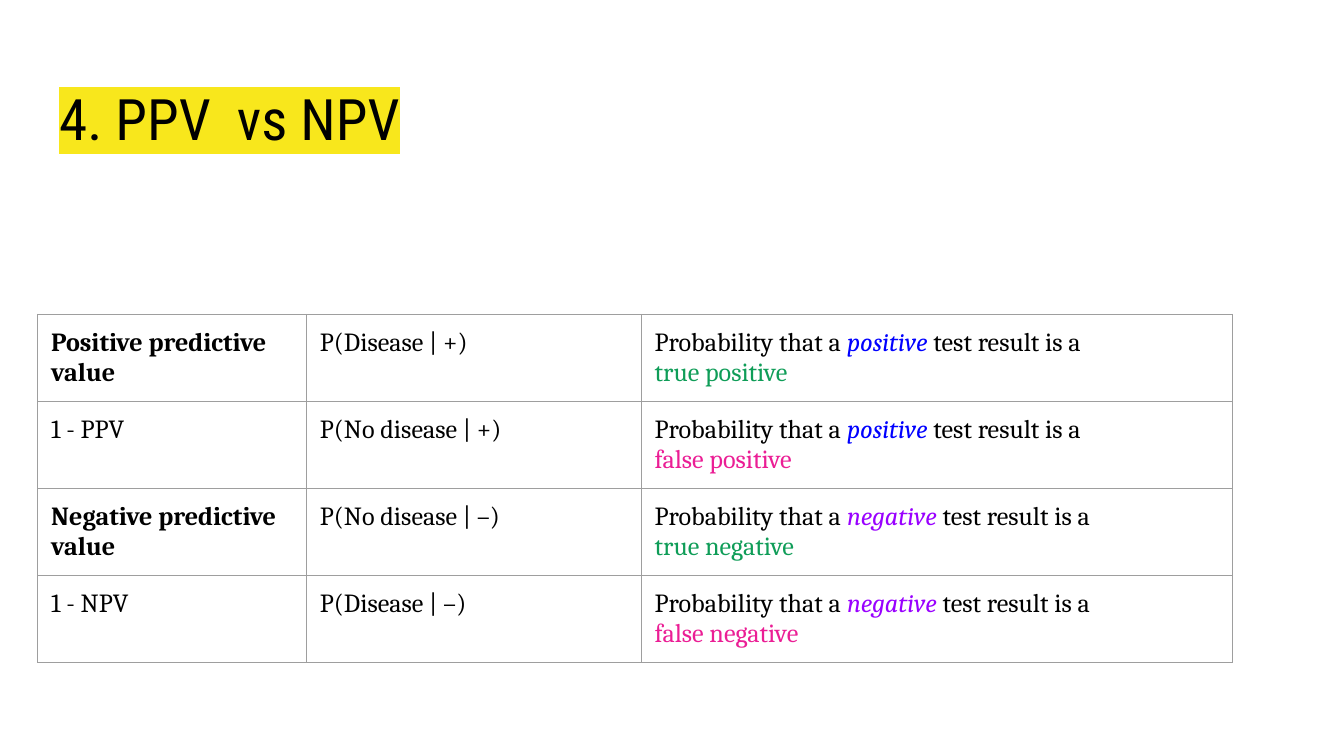
from lxml import etree
from pptx import Presentation
from pptx.dml.color import RGBColor
from pptx.enum.text import MSO_ANCHOR, PP_ALIGN
from pptx.oxml.ns import qn
from pptx.util import Pt

TOP = MSO_ANCHOR.TOP
LEFT = PP_ALIGN.LEFT
TITLE_ONLY = 5

BLACK, YELLOW, GREY = "000000", "F8E71C", "9E9E9E"
GREEN, PINK = "0F9D58", "EB1E95"
RESULT_COLORS = {"positive": "0000FF", "negative": "9900FF"}

INSET = 7.2
COLUMN_WIDTHS = [144, 179.3, 316.8]
ROW_HEIGHT = 46.6
# term, is a main measure, formula, test result, verdict, verdict color
MEASURES = [
    ("Positive predictive value", True, "P(Disease | +)", "positive", "true", GREEN),
    ("1 - PPV", False, "P(No disease | +)", "positive", "false", PINK),
    ("Negative predictive value", True, "P(No disease | –)", "negative", "true", GREEN),
    ("1 - NPV", False, "P(Disease | –)", "negative", "false", PINK),
]


def rgb(color):
    return RGBColor.from_string(color)


def add_run(paragraph, text, color=BLACK, **formats):
    run = paragraph.add_run()
    run.text = text
    run.font.color.rgb = rgb(color)
    values = {"name": "Cambria", "size": Pt(14), "bold": False, "italic": False}
    for attribute, value in (values | formats).items():
        setattr(run.font, attribute, value)
    return run


def highlight(run, color):
    marker = etree.Element(qn("a:highlight"))
    etree.SubElement(marker, qn("a:srgbClr"), val=color)
    run.font._element.find(qn("a:solidFill")).addnext(marker)


def add_title(slide):
    title = slide.shapes.title
    title.left, title.top, title.width, title.height = Pt(24.5), Pt(35.3), Pt(671), Pt(45.4)
    frame_formats = {
        "margin_left": Pt(INSET), "margin_right": Pt(INSET),
        "margin_top": Pt(9.2), "margin_bottom": Pt(INSET),
        "vertical_anchor": TOP, "word_wrap": True,
    }
    for attribute, value in frame_formats.items():
        setattr(title.text_frame, attribute, value)
    heading = title.text_frame.paragraphs[0]
    heading.alignment = LEFT
    heading.line_spacing = 1.0
    run = add_run(heading, "4. PPV  vs NPV", name="Roboto Condensed", size=Pt(30.6))
    highlight(run, YELLOW)


def format_cell(cell):
    """Clear the fill, set the insets and draw a thin border on each side."""
    cell.fill.background()
    cell.vertical_anchor = TOP
    for side in ("left", "right", "top", "bottom"):
        setattr(cell, f"margin_{side}", Pt(INSET))
    properties = cell._tc.get_or_add_tcPr()
    for position, tag in enumerate(("a:lnL", "a:lnR", "a:lnT", "a:lnB")):
        border = etree.Element(qn(tag), w=str(Pt(0.75)))
        fill = etree.SubElement(border, qn("a:solidFill"))
        etree.SubElement(fill, qn("a:srgbClr"), val=GREY)
        properties.insert(position, border)


def write_meaning(frame, result, verdict, verdict_color):
    sentence = frame.paragraphs[0]
    add_run(sentence, "Probability that a ")
    add_run(sentence, result, RESULT_COLORS[result], italic=True)
    add_run(sentence, " test result is a")
    add_run(frame.add_paragraph(), f"{verdict} {result}", verdict_color)


def add_measures_table(slide):
    table = slide.shapes.add_table(
        len(MEASURES), len(COLUMN_WIDTHS), Pt(20.2), Pt(168.5),
        Pt(sum(COLUMN_WIDTHS)), Pt(ROW_HEIGHT * len(MEASURES))).table
    table.first_row = table.horz_banding = False
    for column, width in zip(table.columns, COLUMN_WIDTHS):
        column.width = Pt(width)
    for row, measure in zip(table.rows, MEASURES):
        row.height = Pt(ROW_HEIGHT)
        term, is_main, formula, result, verdict, verdict_color = measure
        for cell in row.cells:
            format_cell(cell)
        term_frame, formula_frame, meaning_frame = (cell.text_frame for cell in row.cells)
        add_run(term_frame.paragraphs[0], term, bold=is_main)
        add_run(formula_frame.paragraphs[0], formula)
        write_meaning(meaning_frame, result, verdict, verdict_color)


def main():
    presentation = Presentation()
    presentation.slide_width, presentation.slide_height = Pt(720), Pt(405)
    slide = presentation.slides.add_slide(presentation.slide_layouts[TITLE_ONLY])
    add_title(slide)
    add_measures_table(slide)
    presentation.save("out.pptx")


if __name__ == "__main__":
    main()
